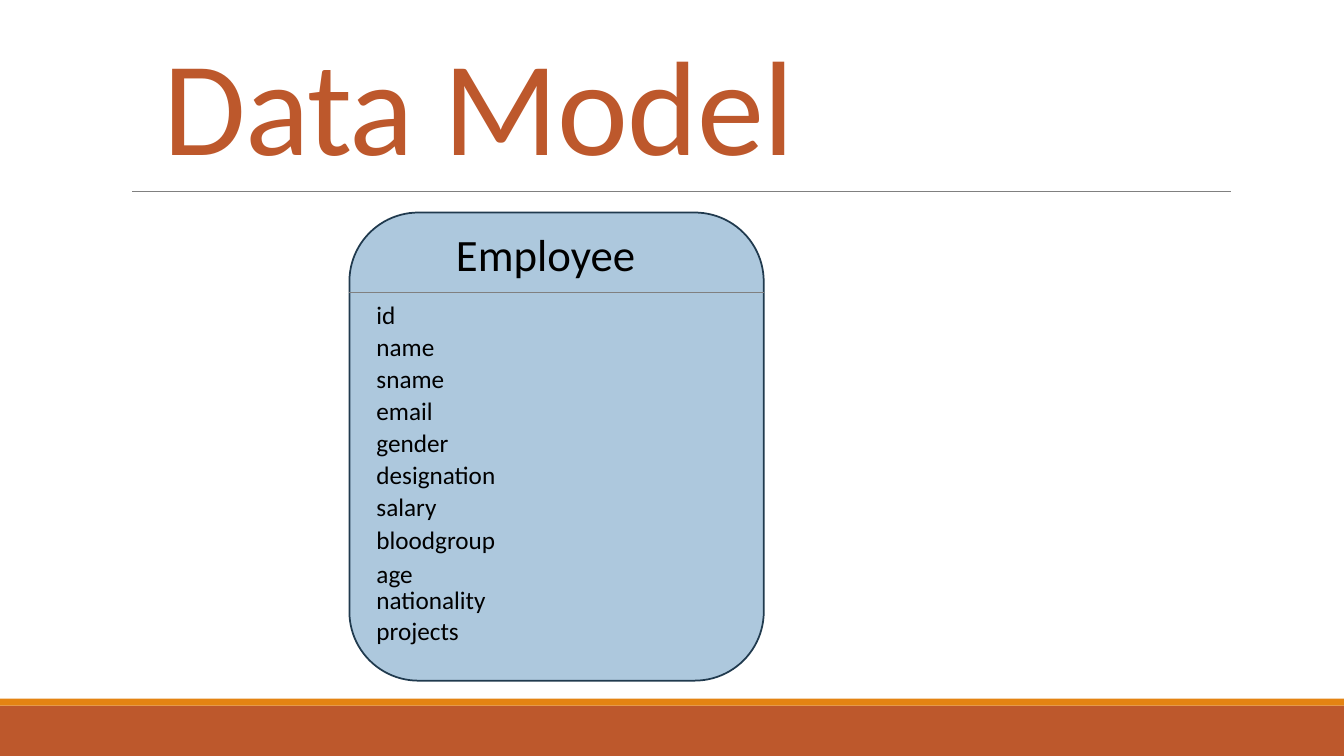
from lxml import etree
from pptx import Presentation
from pptx.dml.color import RGBColor
from pptx.enum.shapes import MSO_CONNECTOR, MSO_SHAPE
from pptx.enum.text import MSO_ANCHOR
from pptx.oxml.ns import qn
from pptx.util import Pt

RECT = MSO_SHAPE.RECTANGLE
ROUND_RECT = MSO_SHAPE.ROUNDED_RECTANGLE
STRAIGHT = MSO_CONNECTOR.STRAIGHT
TOP, BOTTOM = MSO_ANCHOR.TOP, MSO_ANCHOR.BOTTOM

FONT = "Calibri"
COLORS = {
    "rust": "BD582C",
    "orange": "E48312",
    "gray": "808080",
    "entity": "ADC8DD",
    "border": "203A4E",
    "text": "000000",
}
WIDTH, HEIGHT = 960, 540
FIELD_PITCH = 22.94
FIELDS = ["id", "name", "sname", "email", "gender", "designation", "salary", "bloodgroup"]
LAST_FIELDS = [("age", 243.4), ("nationality", 262.1), ("projects", 284.4)]


def color(name):
    return RGBColor.from_string(COLORS[name])


def add_box(s, kind, x, y, w, h, fill, border=None):
    sp = s.shapes.add_shape(kind, Pt(x), Pt(y), Pt(w), Pt(h))
    sp.shadow.inherit = False
    sp.fill.solid()
    sp.fill.fore_color.rgb = color(fill)
    if border:
        sp.line.color.rgb = color(border)
        sp.line.width = Pt(1.25)
    else:
        sp.line.fill.background()


def add_rule(s, x, y, w, weight):
    line = s.shapes.add_connector(STRAIGHT, Pt(x), Pt(y), Pt(x + w), Pt(y))
    line.line.color.rgb = color("gray")
    line.line.width = Pt(weight)
    etree.SubElement(line._element.spPr, qn("a:effectLst"))


def add_text(s, text, x, y, w, h, size, fill="text", anchor=TOP):
    tf = s.shapes.add_textbox(Pt(x), Pt(y), Pt(w), Pt(h)).text_frame
    tf.word_wrap = True
    tf.vertical_anchor = anchor
    p = tf.paragraphs[0]
    r = p.add_run()
    r.text = text
    r.font.name = FONT
    r.font.size = Pt(size)
    r.font.color.rgb = color(fill)
    return p


def add_footer(s, x, y, w, h):
    add_box(s, RECT, x, y + 5, w, h - 5, "rust")
    add_box(s, RECT, x, y, w, 5, "orange")


def add_title(s, x, y, w, h):
    add_rule(s, x, y + h + 2.2, w, 0.5)
    p = add_text(s, "Data Model", x + 15, y, 720, h, 96, "rust", BOTTOM)
    p.line_spacing = 0.85
    p.runs[0].font._element.set("spc", "-50")


def add_entity(s, x, y, w, h):
    add_box(s, ROUND_RECT, x, y, w, h, "entity", "border")
    add_text(s, "Employee", x + 69, y + 6.5, 158, 46, 32)
    add_rule(s, x, y + 57, w, 1)
    rows = [(name, 58.3 + i * FIELD_PITCH) for i, name in enumerate(FIELDS)]
    for name, offset in rows + LAST_FIELDS:
        add_text(s, name, x + 12.2, y + offset, 104.4, 29, 18)


def main():
    prs = Presentation()
    prs.slide_width, prs.slide_height = Pt(WIDTH), Pt(HEIGHT)
    s = prs.slides.add_slide(prs.slide_layouts[6])
    add_footer(s, 0, 499, WIDTH, 41)
    add_title(s, 94.4, 0, 784.6, 134.4)
    add_entity(s, 249.6, 151.8, 296, 334.4)
    prs.save("out.pptx")


if __name__ == "__main__":
    main()
